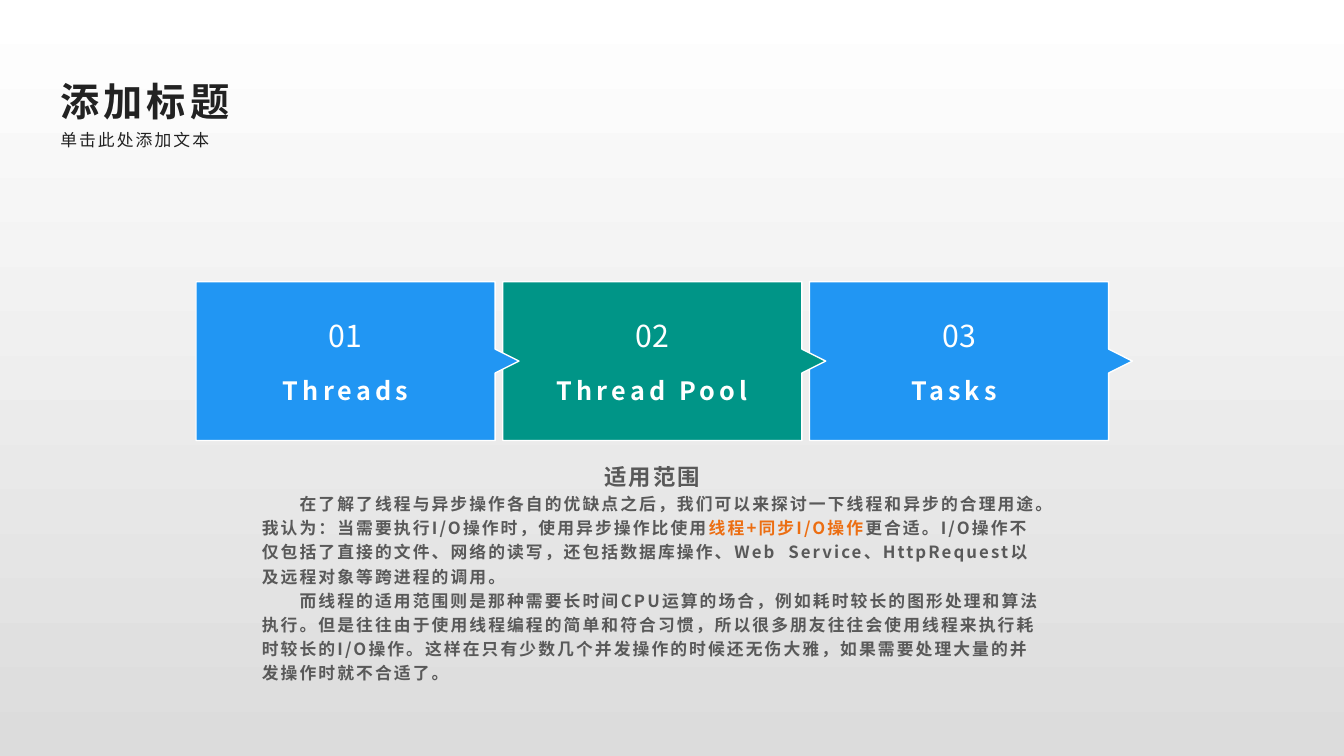
from pptx import Presentation
from pptx.dml.color import RGBColor
from pptx.enum.text import MSO_ANCHOR, PP_ALIGN
from pptx.oxml.ns import qn
from pptx.util import Cm, Pt

FONT = "Noto Sans CJK SC"
INK, GREY, WHITE = "222222", "595959", "FFFFFF"
BLUE, GREEN, ORANGE = "2196F3", "009587", "EC6E12"


def rgb(code):
    return RGBColor.from_string(code)


def write(place, lines, color, top=0.13, foot=0.13, anchor=MSO_ANCHOR.TOP, lead=None):
    """Add a text box; each line is (runs, size, bold, tracking, align, indent)."""
    frame = slide.shapes.add_textbox(*[Cm(v) for v in place]).text_frame
    frame.word_wrap = True
    frame.margin_top, frame.margin_bottom = Cm(top), Cm(foot)
    frame.vertical_anchor = anchor
    for i, (runs, size, bold, track, align, indent) in enumerate(lines):
        para = frame.add_paragraph() if i else frame.paragraphs[0]
        para.alignment = align
        if lead:
            para.line_spacing = lead
        if indent:
            para._p.get_or_add_pPr().set("indent", str(Cm(indent)))
        font = para.font
        font.size, font.bold, font.name = Pt(size), bold, FONT
        font.color.rgb = rgb(color)
        props = para._p.pPr.find(qn("a:defRPr"))
        props.set("spc", str(int(track * 100)))
        east = props.makeelement(qn("a:ea"), {"typeface": FONT})
        props.append(east)
        for text, tint in runs:
            run = para.add_run()
            run.text = text
            if tint:
                run.font.color.rgb = rgb(tint)


deck = Presentation()
deck.slide_width, deck.slide_height = Cm(33.87), Cm(19.05)
slide = deck.slides.add_slide(deck.slide_layouts[6])

# Background
back = slide.background.fill
back.gradient()
back.gradient_angle = 270
for stop, code, spot in zip(back.gradient_stops, (WHITE, "DCDCDC"), (0, 1)):
    stop.color.rgb = rgb(code)
    stop.position = spot

# Heading
left, mid = PP_ALIGN.LEFT, PP_ALIGN.CENTER
write((1.27, 1.7, 30.48, 1.45), [([("添加标题", None)], 28, True, 3, left, 0)],
      INK, foot=0, lead=1.1)
write((1.27, 3.17, 30.48, 0.86), [([("单击此处添加文本", None)], 12, False, 1.5, left, 0)],
      INK, top=0, lead=1.2)

# Cards, last one first so that each tip lies over the next card
WIDE, HIGH, TIP, STEP = 7.54, 4, 0.6, 7.73
X, Y = 4.94, 7.1
cards = [("Threads", BLUE), ("Thread Pool", GREEN), ("Tasks ", BLUE)]
for i, (name, code) in reversed(list(enumerate(cards))):
    x = X + i * STEP
    edge, half = x + WIDE, Y + HIGH / 2
    points = [(edge, Y), (edge, half - 0.3), (edge + TIP, half),
              (edge, half + 0.3), (edge, Y + HIGH), (x, Y + HIGH)]
    build = slide.shapes.build_freeform(Cm(x), Cm(Y))
    build.add_line_segments([(Cm(a), Cm(b)) for a, b in points], close=True)
    card = build.convert_to_shape()
    card.shadow.inherit = False
    card.fill.solid()
    card.fill.fore_color.rgb = rgb(code)
    card.line.color.rgb = rgb(WHITE)
    card.line.width = Pt(1)
    inner = x + 0.5
    write((inner, 9.15, WIDE - 1, 1.27), [([(name, None)], 18, True, 3, mid, 0)],
          WHITE, foot=0, anchor=MSO_ANCHOR.MIDDLE)
    write((inner, 7.87, WIDE - 1, 1.27), [([(f"{i + 1:02}", None)], 21.6, False, 0, mid, 0)],
          WHITE)

# Scope of use
first = [
    ("在了解了线程与异步操作各自的优缺点之后，我们可以来探讨一下线程和异步的合理用途。"
     "我认为：当需要执行I/O操作时，使用异步操作比使用", None),
    ("线程+同步I/O操作", ORANGE),
    ("更合适。I/O操作不仅包括了直接的文件、网络的读写，还包括数据库操作、"
     "Web  Service、HttpRequest以及远程对象等跨进程的调用。", None),
]
second = [
    ("而线程的适用范围则是那种需要长时间CPU运算的场合，例如耗时较长的图形处理和算法执行。"
     "但是往往由于使用线程编程的简单和符合习惯，所以很多朋友往往会使用线程来执行耗时较长的I/O操作。"
     "这样在只有少数几个并发操作的时候还无伤大雅，如果需要处理大量的并发操作时就不合适了。", None),
]
body = [([("适用范围", None)], 16, True, 1.5, mid, 0)]
body += [(runs, 12, True, 1.5, left, 0.95) for runs in (first, second)]
write((6.35, 11.53, 20.17, 5.64), body, GREY, top=0, lead=1.2)

deck.save("out.pptx")
